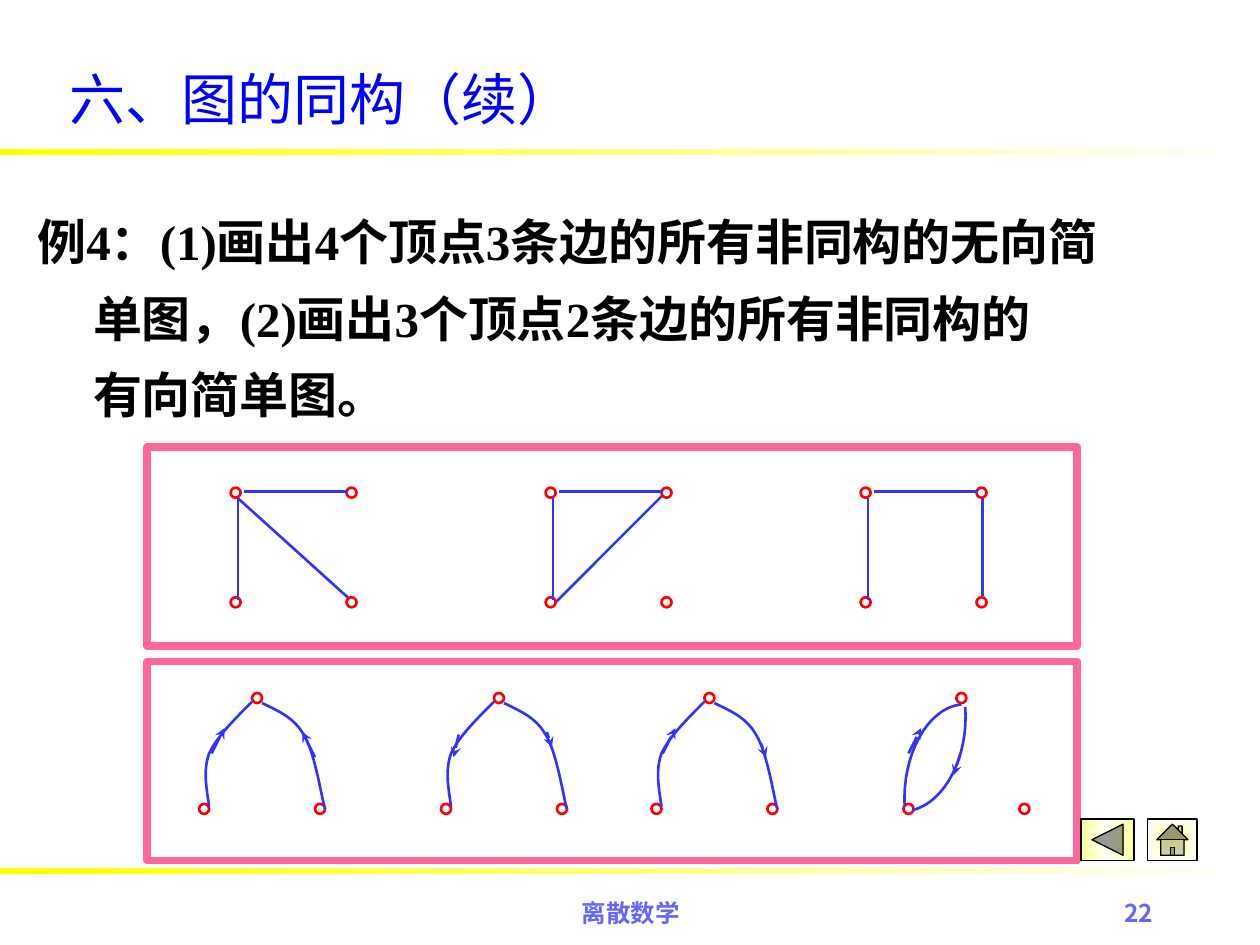
from itertools import groupby

from pptx import Presentation
from pptx.dml.color import RGBColor
from pptx.enum import shapes, text
from pptx.oxml import parse_xml
from pptx.oxml import ns
from pptx.util import Pt
from pptx import util as u

COLORS = {
    "paper": "FFFFFF", "frame": "FF6699", "bar": "FFFF00", "title": "0000FF",
    "ink": "000000", "edge": "3333FF", "vertex": "FF0000", "button": "FFFF99",
    "footer": "6666FF",
}
LATIN, CJK = "Times New Roman", "Noto Sans CJK SC"
LINEAR = '<a:lin ang="10800000" scaled="0"/>'
CENTRED = '<a:path path="rect"><a:fillToRect l="50000" t="50000" r="50000" b="50000"/></a:path>'
DOT = 0.08


def cm(inches):
    return u.Cm(inches * 2.54)


def rgb(name):
    return RGBColor.from_string(COLORS[name])


def assign(obj, values):
    for key, value in values.items():
        setattr(obj, key, value)


def bezier(p0, p1, p2, p3, steps=16):
    for i in range(1, steps + 1):
        t = i / steps
        w = ((1 - t) ** 3, 3 * t * (1 - t) ** 2, 3 * t * t * (1 - t), t ** 3)
        yield tuple(sum(k * p[axis] for k, p in zip(w, (p0, p1, p2, p3)))
                    for axis in (0, 1))


class Sketch:
    def __init__(self, slide):
        self.s = slide
        self.target = slide.shapes

    def group(self):
        self.target = self.s.shapes.add_group_shape().shapes

    def outline(self, sp, color, width):
        sp.line.color.rgb = rgb(color)
        sp.line.width = Pt(width)

    def shape(self, kind, box, fill="paper", line=None, width=1.5):
        sp = self.target.add_shape(kind, *map(cm, box))
        sp.shadow.inherit = False
        sp.fill.solid()
        sp.fill.fore_color.rgb = rgb(fill)
        if line:
            self.outline(sp, line, width)
        else:
            sp.line.fill.background()
        return sp

    def gradient(self, sp, stops, shade=LINEAR):
        sp.fill.gradient()
        old = sp._element.spPr.find(ns.qn("a:gradFill"))
        marks = "".join(
            f'<a:gs pos="{pos * 1000}"><a:srgbClr val="{COLORS[name]}"/></a:gs>'
            for pos, name in stops)
        new = parse_xml(f'<a:gradFill {ns.nsdecls("a")} rotWithShape="1">'
                        f'<a:gsLst>{marks}</a:gsLst>{shade}</a:gradFill>')
        old.getparent().replace(old, new)

    def vertex(self, x, y):
        self.shape(shapes.MSO_SHAPE.OVAL, (x, y, DOT, DOT), line="vertex")

    def edge(self, x, ends, arrow=False):
        x1, y1, x2, y2 = ends
        sp = self.target.add_connector(
            shapes.MSO_CONNECTOR.STRAIGHT, cm(x + x1), cm(y1), cm(x + x2), cm(y2))
        self.outline(sp, "edge", 1.5)
        if arrow:
            sp.line._get_or_add_ln().append(
                parse_xml(f'<a:tailEnd {ns.nsdecls("a")} type="stealth"/>'))
        sp._element.spPr.append(parse_xml(f'<a:effectLst {ns.nsdecls("a")}/>'))

    def curve(self, x, points):
        points = [(x + px, y) for px, y in points]
        track = [p for i in range(0, len(points) - 1, 3)
                 for p in bezier(*points[i:i + 4])]
        fb = self.target.build_freeform(*map(cm, points[0]))
        fb.add_line_segments([(cm(px), cm(y)) for px, y in track], close=False)
        sp = fb.convert_to_shape()
        sp.shadow.inherit = False
        sp.fill.background()
        self.outline(sp, "edge", 1.5)

    def text(self, box, lines, color, frame=None, para=None, latin=None, hang=0, **font):
        tf = self.target.add_textbox(*map(cm, box)).text_frame
        assign(tf, {"word_wrap": True, **(frame or {})})
        for i, line in enumerate(lines):
            p = tf.paragraphs[0] if i == 0 else tf.add_paragraph()
            assign(p, para or {})
            if i and hang:
                p._p.get_or_add_pPr().set("marL", str(cm(hang)))
            for is_ascii, chars in groupby(line, str.isascii):
                r = p.add_run()
                r.text = "".join(chars)
                name = latin or (LATIN if is_ascii else CJK)
                assign(r.font, {"name": name, **font})
                r.font.color.rgb = rgb(color)
                r.font._element.find(ns.qn("a:latin")).addnext(
                    parse_xml(f'<a:ea {ns.nsdecls("a")} typeface="{CJK}"/>'))


UNDIRECTED = [
    (1.83, (0.94, 4.75, 0.02, 3.92)),
    (4.33, (0.94, 3.92, 0.07, 4.79)),
    (6.83, (0.97, 4.73, 0.97, 3.92)),
]
ARCH = [
    [(0.5, 5.58), (0.62, 5.64), (0.75, 5.69), (0.83, 5.83),
     (0.92, 5.97), (0.97, 6.32), (1, 6.42)],
    [(0.42, 5.57), (0.28, 5.71), (0.14, 5.85), (0.08, 5.98),
     (0.03, 6.12), (0.06, 6.26), (0.08, 6.4)],
]
LENS = [
    [(0.46, 5.59), (0.19, 5.62), (-0.01, 5.99), (0.01, 6.4)],
    [(0.07, 6.43), (0.33, 6.37), (0.52, 6), (0.49, 5.61)],
]
DIRECTED = [
    (1.58, ARCH, [(0.92, 6.01, 0.82, 5.81), (0.1, 5.98, 0.2, 5.78)]),
    (3.5, ARCH, [(0.84, 5.81, 0.88, 5.93), (0.14, 5.83, 0.1, 6.01)]),
    (5.17, ARCH, [(0.87, 5.9, 0.91, 6.01), (0.09, 5.98, 0.19, 5.78)]),
    (7.17, LENS, [(0.45, 5.99, 0.4, 6.15), (0.04, 5.98, 0.14, 5.78)]),
]


def main():
    prs = Presentation()
    assign(prs, {"slide_width": cm(10), "slide_height": cm(7.5)})
    s = prs.slides.add_slide(prs.slide_layouts[6])
    k = Sketch(s)
    kinds = shapes.MSO_SHAPE

    for top in (5.25, 3.55):
        k.shape(kinds.RECTANGLE, (1.17, top, 7.38, 1.58), line="frame", width=4.5)
    for top in (6.89, 1.18):
        bar = k.shape(kinds.RECTANGLE, (0, top, 10, 0.05))
        k.gradient(bar, [(0, "paper"), (100, "bar")])

    k.text((0.45, 0.46, 8.5, 0.64), ["六、图的同构（续）"], "title",
           frame={"vertical_anchor": text.MSO_ANCHOR.MIDDLE}, latin=LATIN, size=Pt(32))
    k.text((0.2, 1.49, 9.8, 1.92),
           ["例4：(1)画出4个顶点3条边的所有非同构的无向简",
            "单图，(2)画出3个顶点2条边的所有非同构的",
            "有向简单图。"],
           "ink", para={"line_spacing": 1.3}, hang=0.44, size=Pt(28), bold=True)

    back = k.shape(kinds.ACTION_BUTTON_BACK_OR_PREVIOUS, (8.58, 6.5, 0.42, 0.33),
                   line="ink", width=0.75)
    k.gradient(back, [(0, "button"), (50, "paper"), (100, "button")])
    home = k.shape(kinds.ACTION_BUTTON_HOME, (9.11, 6.5, 0.39, 0.33),
                   line="ink", width=0.75)
    k.gradient(home, [(0, "button"), (100, "paper")], CENTRED)

    for box, line, align, latin in (
            ((3.42, 7.08, 3.17, 0.5), "离散数学", text.PP_ALIGN.CENTER, LATIN),
            ((7.17, 7.08, 2.08, 0.5), "22", text.PP_ALIGN.RIGHT, CJK)):
        k.text(box, [line], "footer", para={"alignment": align}, latin=latin,
               size=Pt(14), bold=True)

    for x, third in UNDIRECTED:
        k.group()
        k.edge(x, third)
        for dx in (0.92, 0):
            for y in (4.74, 3.87):
                k.vertex(x + dx, y)
        k.edge(x, (0.06, 4.76, 0.06, 3.95))
        k.edge(x, (0.93, 3.9, 0.11, 3.9))

    for x, curves, arrows in DIRECTED:
        k.group()
        for dx, y in ((0.92, 6.38), (0.42, 5.5), (0, 6.38)):
            k.vertex(x + dx, y)
        for points in curves:
            k.curve(x, points)
        for ends in arrows:
            k.edge(x, ends, arrow=True)

    prs.save("out.pptx")


if __name__ == "__main__":
    main()
